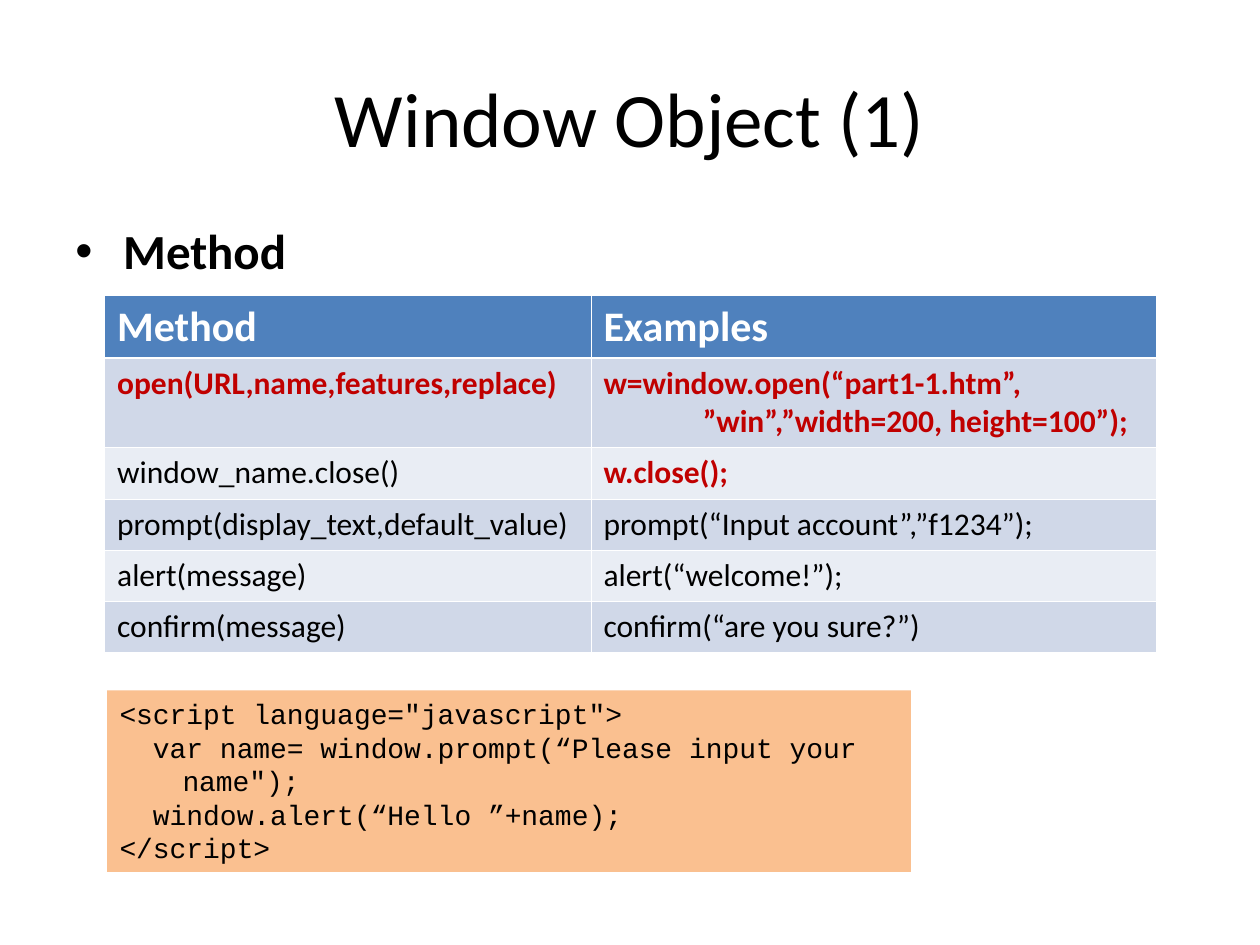
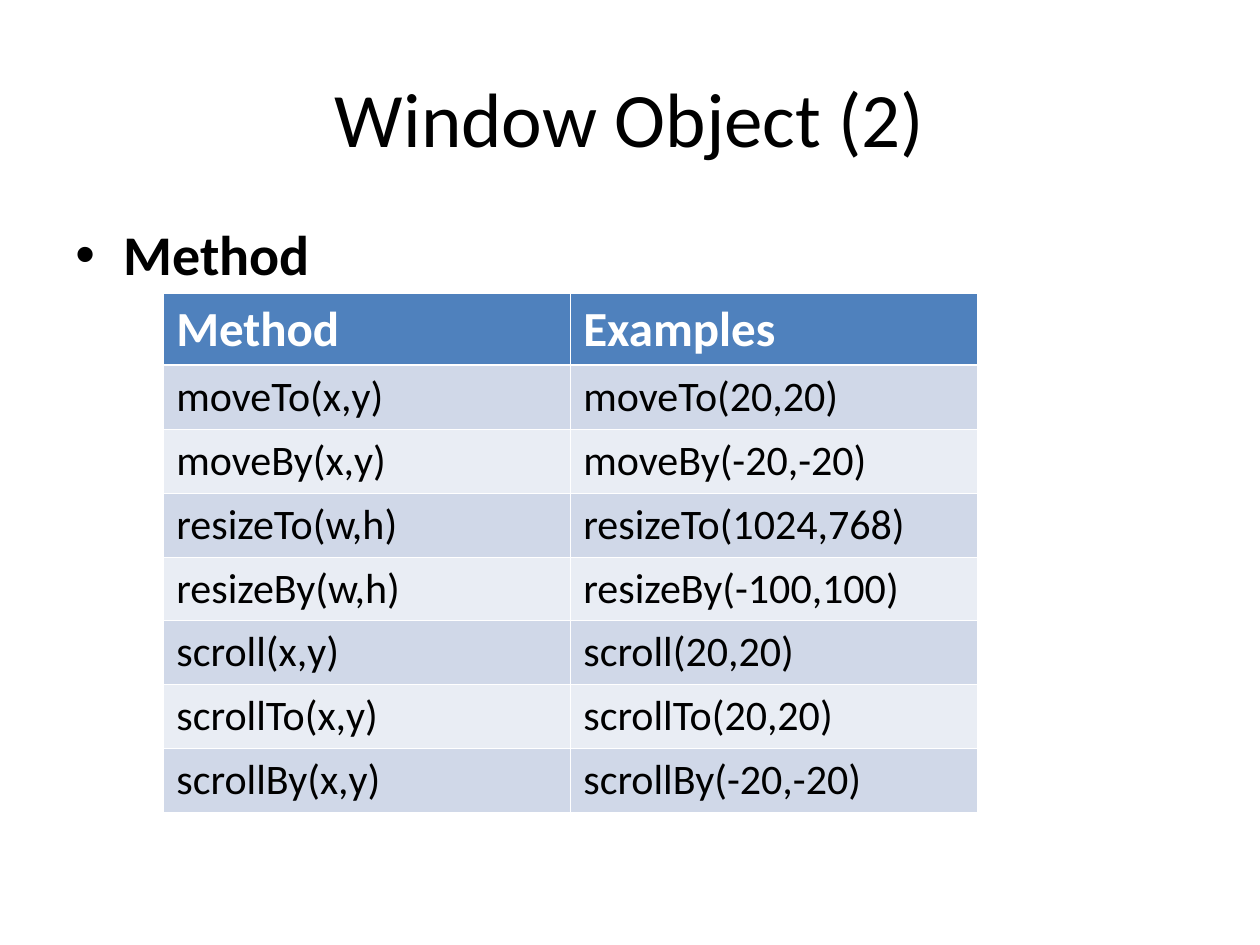
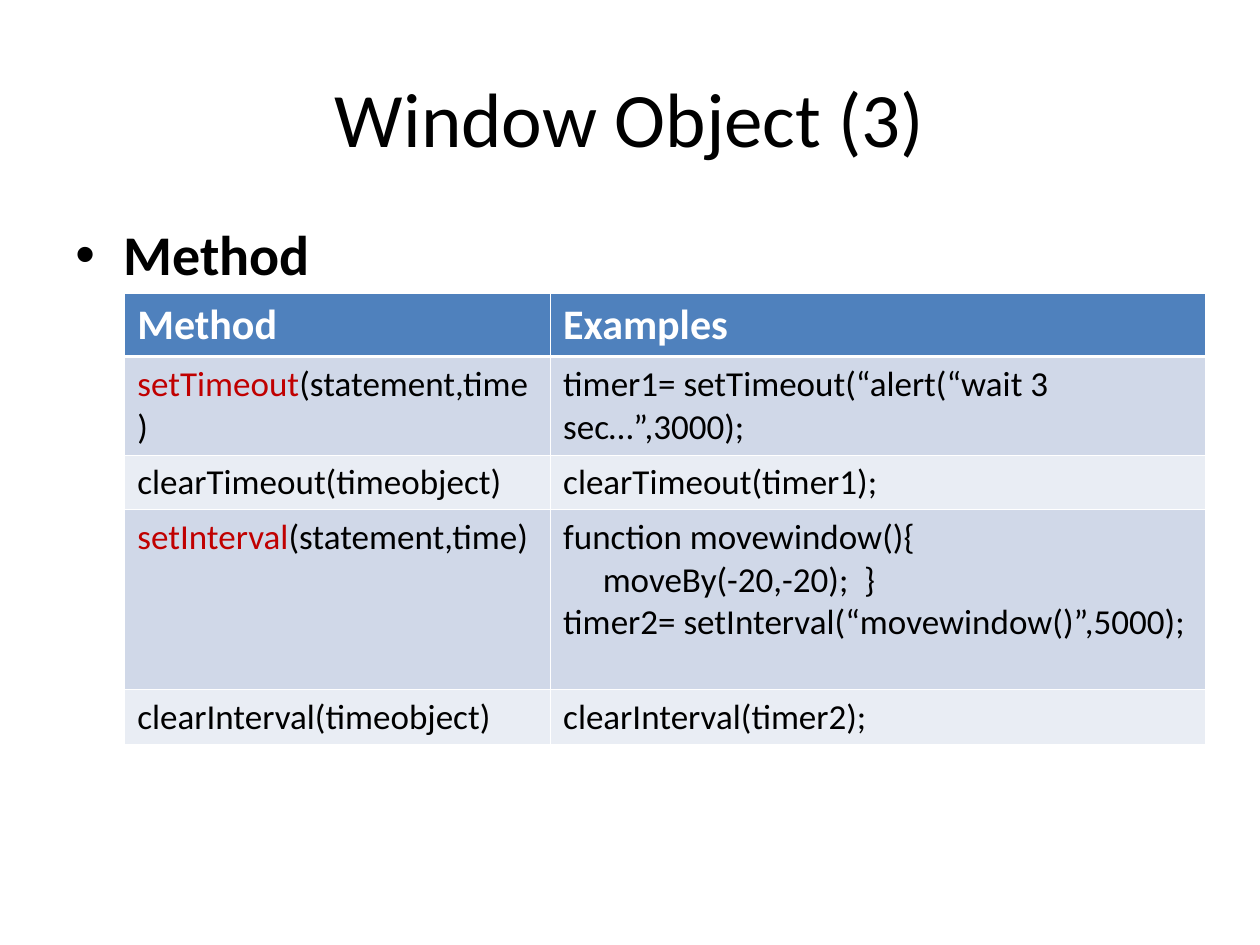
from pptx import Presentation
from pptx.dml.color import RGBColor
from pptx.enum.shapes import MSO_SHAPE
from pptx.enum.text import MSO_ANCHOR, PP_ALIGN
from pptx.oxml.ns import qn
from pptx.util import Inches, Pt
from lxml import etree

RECTANGLE = MSO_SHAPE.RECTANGLE
TOP, MIDDLE = MSO_ANCHOR.TOP, MSO_ANCHOR.MIDDLE
LEFT, CENTER = PP_ALIGN.LEFT, PP_ALIGN.CENTER

# The slide is a grid of 100 columns by 75 rows of square units.
COLUMNS, ROWS = 100, 75
UNIT = Inches(0.1)

BLACK, WHITE, RED = "000000", "FFFFFF", "C00000"
HEADER_FILL, CODE_FILL = "4F81BD", "FAC090"
BANDS = ("D0D8E8", "E9EDF4")
THIN_RULE, HEADER_RULE = 0.45, 1.47

TITLE_BOX = (5, 3, 90, 12.5)
BODY_BOX = (5, 17.5, 90, 49.5)
CODE_BOX = (8.5, 54.8, 63.8, 14.4)

BODY_FONT = {"name": "Calibri", "color": BLACK, "bold": False}
TITLE_FONT = BODY_FONT | {"size": 44}
BULLET_FONT = BODY_FONT | {"bold": True}
HEADER_FONT = BODY_FONT | {"color": WHITE, "bold": True}
CODE_FONT = {"name": "Courier New", "color": BLACK, "size": 16}

HEADINGS = ("Method", "Examples")
PROMPT_SCRIPT = (
    '<script language="javascript">',
    '  var name= window.prompt(“Please input your name");',
    "  window.alert(“Hello ”+name);",
    "</script>",
)


def red(text, bold=False):
    return text, {"color": RED, "bold": bold}


def plain(text):
    return text, {}


# A cell is a plain string, or a list of paragraphs that are lists of runs.
SLIDES = [
    {
        "title": "Window Object (1)",
        "bullet_size": 28,
        "table": {
            "corner": (8.3, 23.4),
            "widths": (38.6, 44.9),
            "heights": (5, 7.1, 4.1, 4.1, 4, 4.1),
            "sizes": (24, 18),
            "cells": [
                ([[red("open(URL,name,features,replace)", True)]],
                 [[red("w=window.open(“part1-1.htm”, \n"
                       "              ”win”,”width=200, height=100”);", True)]]),
                ("window_name.close()", [[red("w.close();", True)]]),
                ("prompt(display_text,default_value)",
                 "prompt(“Input account”,”f1234”);"),
                ("alert(message)", "alert(“welcome!”);"),
                ("confirm(message)", "confirm(“are you sure?”)"),
            ],
        },
        "code": PROMPT_SCRIPT,
    },
    {
        "title": "Window Object (2)",
        "bullet_size": 32,
        "table": {
            "corner": (13, 23.3),
            "widths": (32.3, 32.3),
            "heights": (5.7,) + (5.07,) * 7,
            "sizes": (28, 24),
            "cells": [
                ("moveTo(x,y)", "moveTo(20,20)"),
                ("moveBy(x,y)", "moveBy(-20,-20)"),
                ("resizeTo(w,h)", "resizeTo(1024,768)"),
                ("resizeBy(w,h)", "resizeBy(-100,100)"),
                ("scroll(x,y)", "scroll(20,20)"),
                ("scrollTo(x,y)", "scrollTo(20,20)"),
                ("scrollBy(x,y)", "scrollBy(-20,-20)"),
            ],
        },
    },
    {
        "title": "Window Object (3)",
        "bullet_size": 32,
        "table": {
            "corner": (9.9, 23.3),
            "widths": (33.8, 52),
            "heights": (5, 7.8, 4.3, 14.3, 4.3),
            "sizes": (24, 20),
            "cells": [
                ([[red("setTimeout"), plain("(statement,time)")]],
                 "timer1= setTimeout(“alert(“wait 3 sec…”,3000);"),
                ("clearTimeout(timeobject)", "clearTimeout(timer1);"),
                ([[red("setInterval"), plain("(statement,time)")]],
                 [[plain("function movewindow(){ \n     moveBy(-20,-20);  }")],
                  [plain("timer2= setInterval(“movewindow()”,5000);")]]),
                ("clearInterval(timeobject)", "clearInterval(timer2);"),
            ],
        },
    },
]


def units(*lengths):
    return [round(length * UNIT) for length in lengths]


def rgb(hex_color):
    return RGBColor.from_string(hex_color)


def format_font(font, style):
    for key, value in style.items():
        if key == "color":
            font.color.rgb = rgb(value)
        else:
            setattr(font, key, Pt(value) if key == "size" else value)


def write(frame, paragraphs, style):
    """Fill a text frame; a newline inside a run becomes a line break."""
    for index, runs in enumerate(paragraphs):
        paragraph = frame.add_paragraph() if index else frame.paragraphs[0]
        for text, changes in runs:
            for number, line in enumerate(text.split("\n")):
                if number:
                    paragraph.add_line_break()
                run = paragraph.add_run()
                run.text = line
                format_font(run.font, style | changes)


def hang(paragraph, indent):
    properties = paragraph._p.get_or_add_pPr()
    properties.set("marL", str(indent))
    properties.set("indent", str(-indent))
    return properties


def add_text(slide, box, text, style, anchor=TOP):
    frame = slide.shapes.add_textbox(*units(*box)).text_frame
    frame.word_wrap = True
    frame.vertical_anchor = anchor
    write(frame, [[plain(text)]], style)
    return frame.paragraphs[0]


def add_title(slide, text):
    add_text(slide, TITLE_BOX, text, TITLE_FONT, MIDDLE).alignment = CENTER


def add_bullet(slide, text, size):
    paragraph = add_text(slide, BODY_BOX, text, BULLET_FONT | {"size": size})
    properties = hang(paragraph, Inches(0.38))
    etree.SubElement(properties, qn("a:buFont"), typeface="Arial")
    etree.SubElement(properties, qn("a:buChar"), char="•")
    paragraph.line_spacing = 0.9


def add_borders(cell, top, bottom):
    properties = cell._tc.get_or_add_tcPr()
    widths = {"lnL": THIN_RULE, "lnR": THIN_RULE, "lnT": top, "lnB": bottom}
    for side, width in widths.items():
        line = etree.SubElement(properties, qn(f"a:{side}"), w=str(Pt(width)))
        fill = etree.SubElement(line, qn("a:solidFill"))
        etree.SubElement(fill, qn("a:srgbClr"), val=WHITE)


def add_method_table(slide, corner, widths, heights, sizes, cells):
    box = units(*corner, sum(widths), sum(heights))
    table = slide.shapes.add_table(len(heights), len(widths), *box).table
    table.horz_banding = False
    for column, width in zip(table.columns, units(*widths)):
        column.width = width
    for row, height in zip(table.rows, units(*heights)):
        row.height = height

    header_size, body_size = sizes
    for r, contents in enumerate([HEADINGS, *cells]):
        style = (BODY_FONT | {"size": body_size} if r
                 else HEADER_FONT | {"size": header_size})
        for c, content in enumerate(contents):
            cell = table.cell(r, c)
            add_borders(cell,
                        top=HEADER_RULE if r == 1 else THIN_RULE,
                        bottom=HEADER_RULE if r == 0 else THIN_RULE)
            cell.fill.solid()
            cell.fill.fore_color.rgb = rgb(BANDS[(r - 1) % 2] if r else HEADER_FILL)
            if isinstance(content, str):
                content = [[plain(content)]]
            write(cell.text_frame, content, style)


def add_code(slide, lines):
    panel = slide.shapes.add_shape(RECTANGLE, *units(*CODE_BOX))
    panel.shadow.inherit = False
    panel.fill.solid()
    panel.fill.fore_color.rgb = rgb(CODE_FILL)
    panel.line.fill.background()
    frame = panel.text_frame
    frame.word_wrap = True
    frame.vertical_anchor = TOP
    write(frame, [[plain(line)] for line in lines], CODE_FONT)
    for paragraph in frame.paragraphs:
        paragraph.alignment = LEFT
        hang(paragraph, Inches(0.5))


def add_method_slide(deck, title, bullet_size, table, code=()):
    slide = deck.slides.add_slide(deck.slide_layouts[6])
    add_title(slide, title)
    add_bullet(slide, "Method", bullet_size)
    add_method_table(slide, **table)
    if code:
        add_code(slide, code)


def main():
    deck = Presentation()
    deck.slide_width, deck.slide_height = units(COLUMNS, ROWS)
    for content in SLIDES:
        add_method_slide(deck, **content)
    deck.save("out.pptx")


if __name__ == "__main__":
    main()
